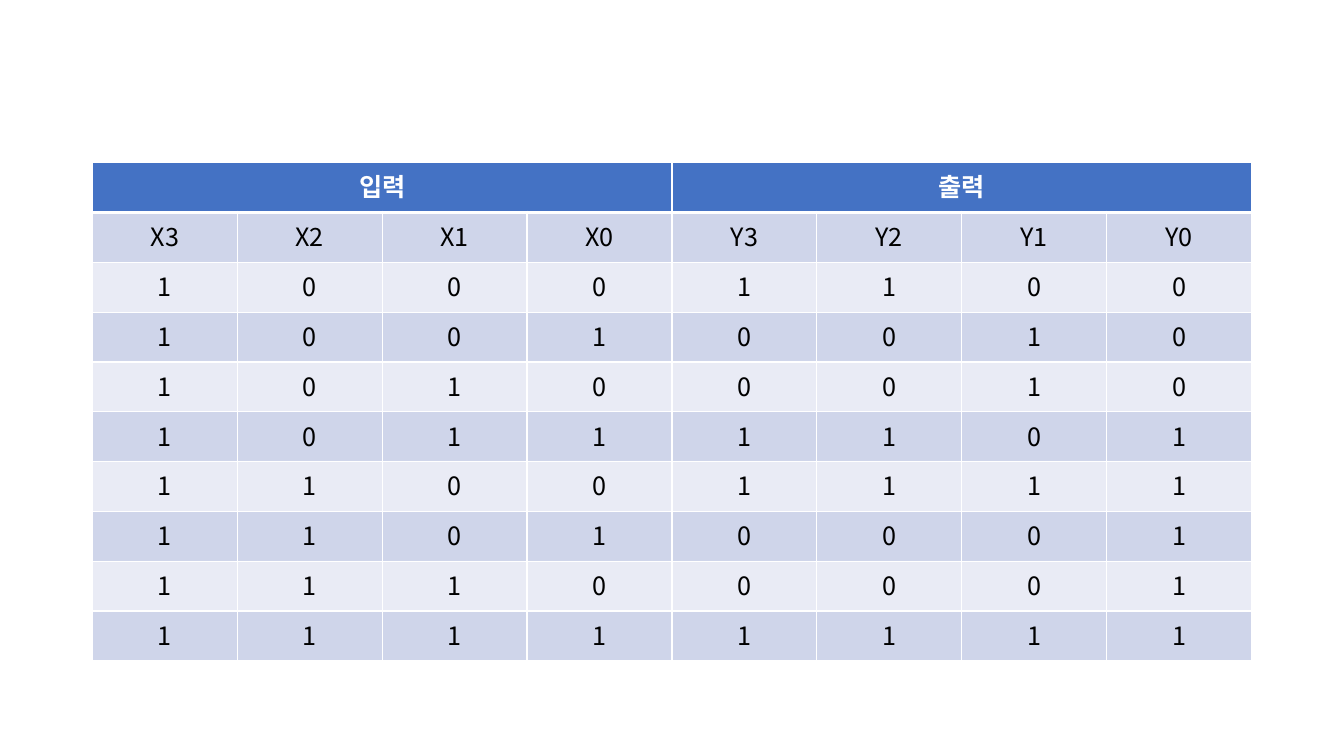
from lxml import etree
from pptx import Presentation
from pptx import util as u
from pptx.dml.color import RGBColor
from pptx.enum import text
from pptx.oxml import ns

COLOURS = {
    "header": "4472C4",
    "dark band": "CFD5EA",
    "light band": "E9EBF5",
    "black": "000000",
    "white": "FFFFFF",
}
GROUPS = ["입력", "출력"]
SIGNALS = ["X3", "X2", "X1", "X0", "Y3", "Y2", "Y1", "Y0"]
TRUTH_ROWS = [
    "10001100",
    "10010010",
    "10100010",
    "10111101",
    "11001111",
    "11010001",
    "11100001",
    "11111111",
]


class TruthTablePage:
    """Holds the style and the current slide, and draws tables on it."""

    font_name = "Noto Sans CJK KR"
    font_size = u.Pt(18)
    thin, thick = u.Pt(1), u.Pt(3)

    def __init__(self, deck):
        self.page = deck.slides.add_slide(deck.slide_layouts[6])

    def colour(self, name):
        return RGBColor.from_string(COLOURS[name])

    def borders(self, cell, **widths):
        properties = cell._tc.get_or_add_tcPr()
        for side in "LRTB":
            line = etree.SubElement(properties, ns.qn(f"a:ln{side}"))
            line.set("w", str(widths.get(side, self.thin)))
            fill = etree.SubElement(line, ns.qn("a:solidFill"))
            etree.SubElement(fill, ns.qn("a:srgbClr")).set("val", COLOURS["white"])

    def fill(self, cell, name):
        cell.fill.solid()
        cell.fill.fore_color.rgb = self.colour(name)

    def label(self, cell, words, colour, bold):
        cell.text = words
        para = cell.text_frame.paragraphs[0]
        para.alignment = text.PP_ALIGN.CENTER
        font = para.font
        font.name, font.size, font.bold = self.font_name, self.font_size, bold
        font.color.rgb = self.colour(colour)
        etree.SubElement(font._rPr, ns.qn("a:ea")).set("typeface", self.font_name)

    def table(self, groups, rows, left, top, width, height):
        columns = len(rows[0])
        span = columns // len(groups)
        grid = self.page.shapes.add_table(
            len(rows) + 1, columns, left, top, width, height
        ).table

        for column in range(columns):
            cell = grid.cell(0, column)
            self.borders(cell, B=self.thick)
            self.fill(cell, "header")
        for index, group in enumerate(groups):
            first = grid.cell(0, index * span)
            first.merge(grid.cell(0, (index + 1) * span - 1))
            self.label(first, group, "white", True)

        for number, row in enumerate(rows, 1):
            band = "dark band" if number % 2 else "light band"
            for column, words in enumerate(row):
                cell = grid.cell(number, column)
                self.borders(cell, T=self.thick if number == 1 else self.thin)
                self.fill(cell, band)
                self.label(cell, words, "black", False)


def main():
    deck = Presentation()
    deck.slide_width, deck.slide_height = u.Cm(33.87), u.Cm(19.05)
    page = TruthTablePage(deck)
    page.table(
        GROUPS, [SIGNALS, *TRUTH_ROWS], u.Cm(2.33), u.Cm(4.1), u.Cm(29.21), u.Cm(12.55)
    )
    deck.save("out.pptx")


if __name__ == "__main__":
    main()
